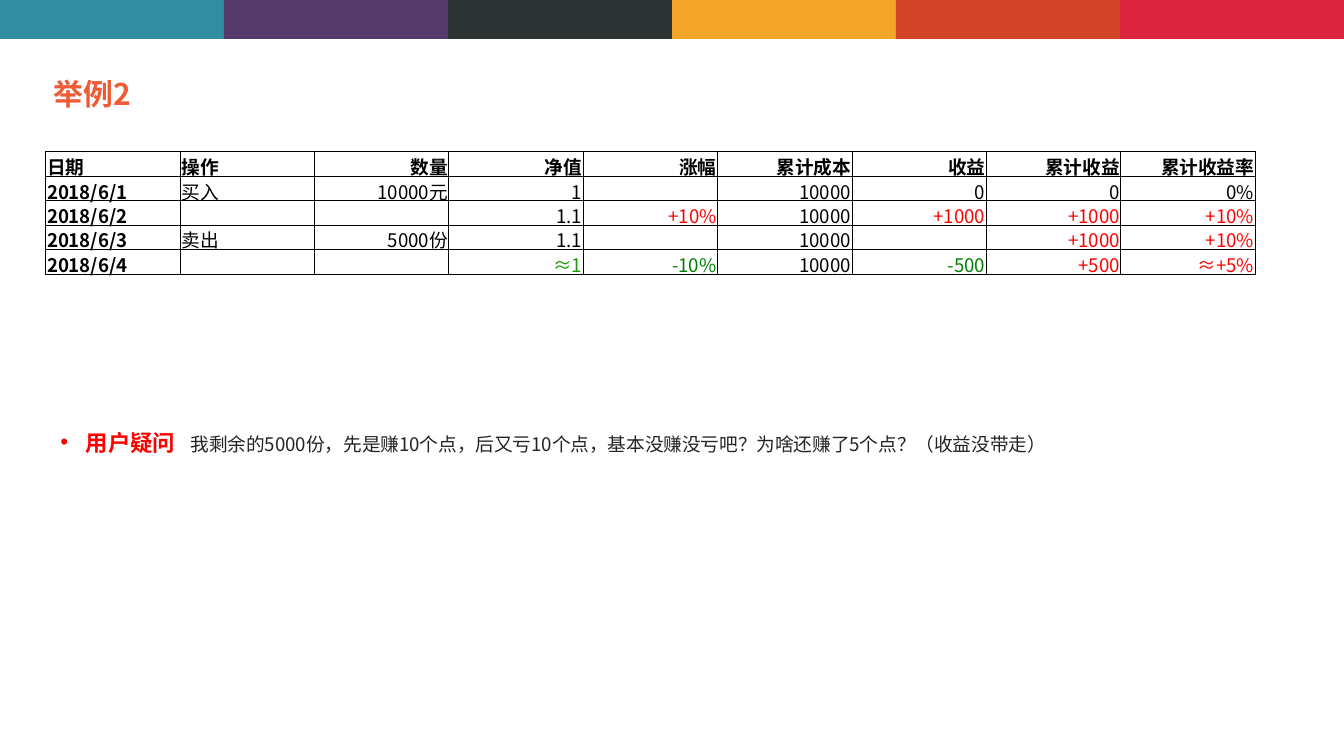
import pptx
import pptx.util
import pptx.dml.color
import pptx.enum.shapes
import pptx.enum.text
import pptx.oxml
import pptx.oxml.ns

Inches, Pt = pptx.util.Inches, pptx.util.Pt
RGBColor = pptx.dml.color.RGBColor
PP_ALIGN, MSO_ANCHOR = pptx.enum.text.PP_ALIGN, pptx.enum.text.MSO_ANCHOR
qn = pptx.oxml.ns.qn
NS = pptx.oxml.ns.nsdecls("a")

FONT = "Noto Sans CJK SC"
BLACK = RGBColor(0x00, 0x00, 0x00)
RED = RGBColor(0xFF, 0x00, 0x00)
GREEN = RGBColor(0x00, 0x80, 0x00)
LIGHT_GREEN = RGBColor(0x1C, 0x9A, 0x00)
ORANGE = RGBColor(0xEF, 0x5B, 0x35)
CHARCOAL = RGBColor(0x24, 0x24, 0x24)
BAND_COLORS = [
    RGBColor(0x30, 0x8D, 0xA2), RGBColor(0x55, 0x3A, 0x6C), RGBColor(0x2C, 0x35, 0x33),
    RGBColor(0xF4, 0xA6, 0x28), RGBColor(0xD3, 0x43, 0x28), RGBColor(0xDC, 0x24, 0x3F),
]


def style_run(run, size, color, bold=False):
    """Set the font for Latin and Chinese characters alike."""
    run.font.name = FONT
    run.font.size = Pt(size)
    run.font.bold = bold
    run.font.color.rgb = color
    run.font._element.find(qn("a:latin")).addnext(
        pptx.oxml.parse_xml(f'<a:ea {NS} typeface="{FONT}"/>'))


deck = pptx.Presentation()
deck.slide_width = Inches(10)
deck.slide_height = deck.slide_width * 9 // 16
slide = deck.slides.add_slide(deck.slide_layouts[5])

# Colour band across the top
band_width = deck.slide_width / len(BAND_COLORS)
for i, color in enumerate(BAND_COLORS):
    band = slide.shapes.add_shape(
        pptx.enum.shapes.MSO_SHAPE.RECTANGLE,
        round(i * band_width), 0, round(band_width), Inches(0.29))
    band.shadow.inherit = False
    band.fill.solid()
    band.fill.fore_color.rgb = color
    band.line.fill.background()

# Title
title = slide.shapes.title
title.left, title.top, title.width, title.height = map(Inches, (0.33, 0.53, 5.21, 0.34))
heading = title.text_frame
heading.text = "举例2"
heading.margin_left = heading.margin_right = Inches(0.07)
heading.margin_top = heading.margin_bottom = Inches(0.04)
heading.vertical_anchor = MSO_ANCHOR.MIDDLE
heading.auto_size = pptx.enum.text.MSO_AUTO_SIZE.NONE
heading.paragraphs[0].alignment = PP_ALIGN.LEFT
style_run(heading.paragraphs[0].runs[0], 16, ORANGE, True)

# User question
question_box = slide.shapes.add_textbox(*map(Inches, (0.34, 3.04, 7.99, 0.39)))
question_box.text_frame.word_wrap = True
question = question_box.text_frame.paragraphs[0]
question.alignment = PP_ALIGN.JUSTIFY
question.line_spacing = 1.5
properties = question._p.get_or_add_pPr()
properties.set("marL", str(Inches(0.2)))
properties.set("indent", str(Inches(-0.19)))
properties.append(pptx.oxml.parse_xml(f'<a:buFont {NS} typeface="Arial"/>'))
properties.append(pptx.oxml.parse_xml(f'<a:buChar {NS} char="•"/>'))
properties.append(pptx.oxml.parse_xml(
    f'<a:tabLst {NS}><a:tab pos="{Inches(0.98)}" algn="l"/></a:tabLst>'))
for words, size, color, bold in [
    ("用户疑问\t", 12, RED, True),
    ("我剩余的5000份，先是赚10个点，后又亏10个点，基本没赚没亏吧？"
     "为啥还赚了5个点？（收益没带走）", 10, CHARCOAL, False),
]:
    run = question.add_run()
    run.text = words
    style_run(run, size, color, bold)

# Trades and returns
TRADES = [
    ["日期", "操作", "数量", "净值", "涨幅", "累计成本", "收益", "累计收益", "累计收益率"],
    ["2018/6/1", "买入", "10000元", "1", "", "10000", "0", "0", "0%"],
    ["2018/6/2", "", "", "1.1", "+10%", "10000", "+1000", "+1000", "+10%"],
    ["2018/6/3", "卖出", "5000份", "1.1", "", "10000", "", "+1000", "+10%"],
    ["2018/6/4", "", "", "≈1", "-10%", "10000", "-500", "+500", "≈+5%"],
]
trades = slide.shapes.add_table(
    len(TRADES), len(TRADES[0]), *map(Inches, (0.34, 1.13, 9, 0.91))).table
trades.horz_banding = False
for r, row in enumerate(TRADES):
    for c, value in enumerate(row):
        cell = trades.cell(r, c)
        cell.margin_left = cell.margin_right = cell.margin_top = Inches(0.01)
        cell.margin_bottom = 0
        cell.vertical_anchor = MSO_ANCHOR.BOTTOM
        cell.fill.background()
        for position, side in enumerate(("lnL", "lnR", "lnT", "lnB")):
            cell._tc.get_or_add_tcPr().insert(position, pptx.oxml.parse_xml(
                f'<a:{side} {NS} w="{Pt(0.5)}"><a:solidFill>'
                f'<a:srgbClr val="{BLACK}"/></a:solidFill></a:{side}>'))
        paragraph = cell.text_frame.paragraphs[0]
        if not value:
            # An empty cell needs its own small size to keep the row low
            paragraph._p.append(pptx.oxml.parse_xml(f'<a:endParaRPr {NS} sz="1000"/>'))
            continue
        paragraph.text = value
        paragraph.alignment = PP_ALIGN.LEFT if c < 2 else PP_ALIGN.RIGHT
        if value == "≈1":
            color = LIGHT_GREEN
        elif value.startswith("-"):
            color = GREEN
        elif "+" in value:
            color = RED
        else:
            color = BLACK
        style_run(paragraph.runs[0], 10, color, r == 0 or c == 0)

deck.save("out.pptx")
